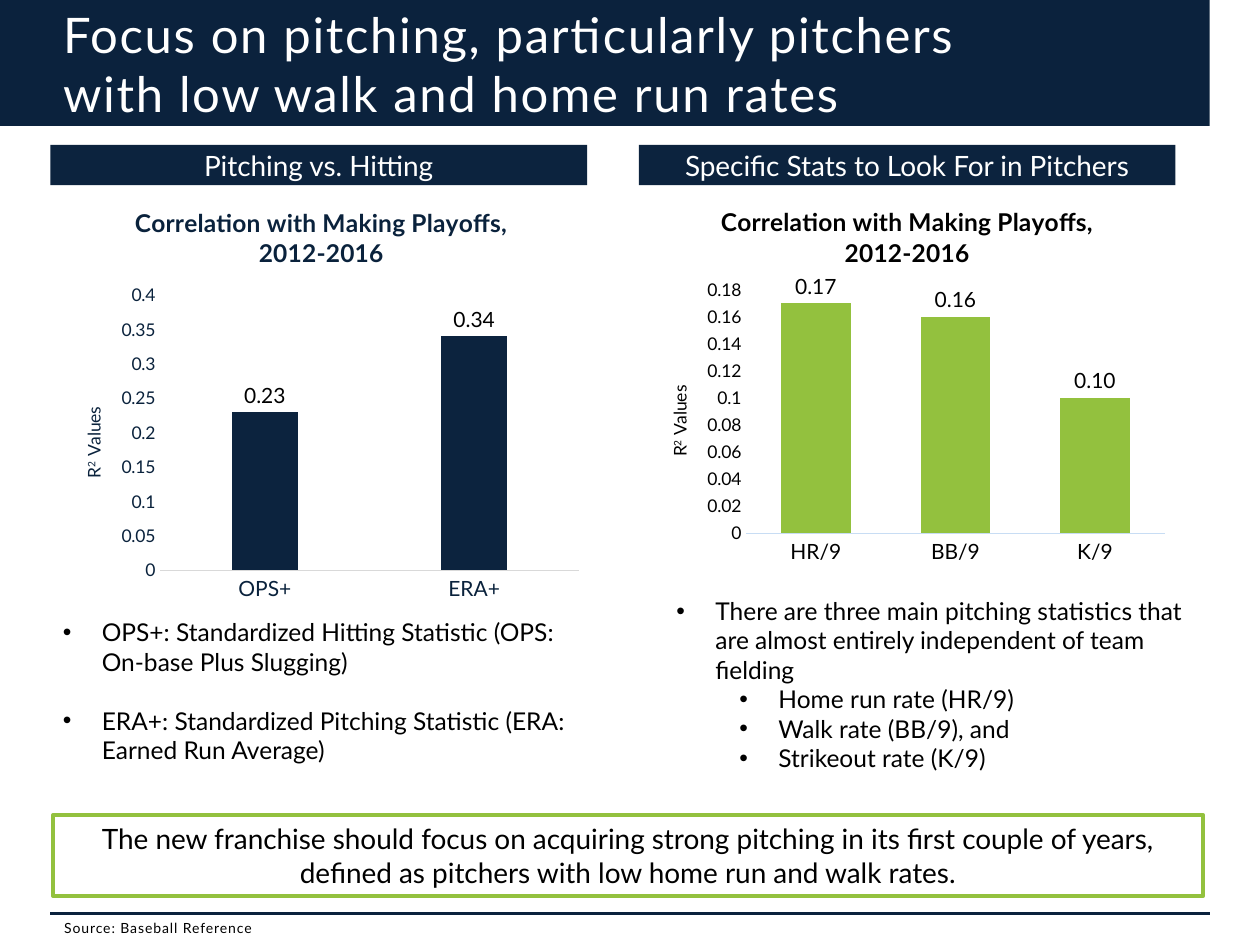
from lxml import etree
from pptx import Presentation, util as u
from pptx.chart.data import CategoryChartData
from pptx.dml.color import RGBColor
from pptx.enum import chart as charts, shapes, text
from pptx.oxml import ns

FONT = "Lato"
NAVY, HEADER, INK = "0B223D", "0C233E", "0A223C"
GREEN, WHITE, BLACK = "93C13E", "FFFFFF", "000000"
LEFT, COLUMN_WIDTH, COLUMN_STEP = 0.4, 4.26, 4.67
HEADER_TOP, HEADER_HEIGHT = 1.15, 0.32
CHART_TOP = HEADER_TOP + HEADER_HEIGHT


def color(value):
    """Turn a hex string into a colour."""
    return RGBColor.from_string(value)


def column_left(index):
    """Return the left edge of a column."""
    return LEFT + index * COLUMN_STEP


def inches(*lengths):
    """Convert several lengths to inches."""
    return [u.Inches(length) for length in lengths]


def style(font, size, ink, bold=False):
    """Set the face, size, colour and weight of a font."""
    font.name, font.size, font.bold = FONT, u.Pt(size), bold
    font.color.rgb = color(ink)


def fill_text(frame, words, size, ink, align=text.PP_ALIGN.LEFT, spacing=0):
    """Write one styled paragraph with optional letter spacing in points."""
    frame.text = words
    frame.word_wrap = True
    para = frame.paragraphs[0]
    para.alignment = align
    span = para.runs[0]
    style(span.font, size, ink)
    if spacing:
        span.font._element.set("spc", str(int(spacing * 100)))


def add_box(page, area, fill, line=None):
    """Add a plain rectangle."""
    box = page.shapes.add_shape(shapes.MSO_SHAPE.RECTANGLE, *inches(*area))
    box.shadow.inherit = False
    box.fill.solid()
    box.fill.fore_color.rgb = color(fill)
    if line:
        box.line.color.rgb = color(line)
        box.line.width = u.Pt(2.25)
    else:
        box.line.fill.background()
    return box


def add_label_box(page, area, words, fill, ink, line=None):
    """Add a rectangle with centred text."""
    box = add_box(page, area, fill, line)
    fill_text(box.text_frame, words, 16, ink, text.PP_ALIGN.CENTER)
    box.text_frame.vertical_anchor = text.MSO_ANCHOR.MIDDLE


def add_title(page, words):
    """Place the title over its navy band."""
    band = add_box(page, (0, 0, 9.6, 1), NAVY)
    title = page.shapes.title
    title._element.addprevious(band._element)
    title.left, title.top, title.width, title.height = inches(LEFT, 0.15, 8, 0.7)
    fill_text(title.text_frame, words, 28, WHITE, spacing=1)
    title.text_frame.vertical_anchor = text.MSO_ANCHOR.MIDDLE
    title.text_frame.auto_size = text.MSO_AUTO_SIZE.NONE


def add_footer(page, words):
    """Add the rule and the source note."""
    rule = page.shapes.add_connector(
        shapes.MSO_CONNECTOR.STRAIGHT, *inches(LEFT, 7.25, 10 - LEFT, 7.25))
    rule.line.color.rgb = color(NAVY)
    rule.line.width = u.Pt(2.25)
    etree.SubElement(rule._element.spPr, ns.qn("a:effectLst"))
    note = page.shapes.add_textbox(*inches(0.41, 7.25, 8.75, 0.25))
    fill_text(note.text_frame, words, 8, BLACK, spacing=0.5)


def add_bullets(page, area, items, gap=0):
    """Add bullets from (level, words) pairs."""
    frame = page.shapes.add_textbox(*inches(*area)).text_frame
    frame.word_wrap = True
    for index, (level, words) in enumerate(items):
        para = frame.add_paragraph() if index else frame.paragraphs[0]
        para.text = words
        para.level = level
        para.space_before = u.Pt(gap if index else 0)
        props = para._p.get_or_add_pPr()
        props.set("marL", str(u.Inches(0.31 + 0.5 * level)))
        props.set("indent", str(u.Inches(-0.31)))
        etree.SubElement(props, ns.qn("a:buFont"), typeface="Arial")
        etree.SubElement(props, ns.qn("a:buChar"), char="•")
        style(para.runs[0].font, 14, BLACK)


def set_plot_area(chart, **shares):
    """Fix the inner plot area as shares of the chart."""
    plot_area = chart._chartSpace.chart.plotArea
    for old in plot_area.findall(ns.qn("c:layout")):
        plot_area.remove(old)
    layout = etree.Element(ns.qn("c:layout"))
    manual = etree.SubElement(layout, ns.qn("c:manualLayout"))
    settings = dict(layoutTarget="inner", xMode="edge", yMode="edge", **shares)
    for name, value in settings.items():
        etree.SubElement(manual, ns.qn("c:" + name), val=str(value))
    plot_area.insert(0, layout)


def add_axis_title(axis, ink):
    """Title the value axis with a raised exponent."""
    para = axis.axis_title.text_frame.paragraphs[0]
    for words in ("R", "2", " Values"):
        span = para.add_run()
        span.text = words
        style(span.font, 10, ink)
        if words == "2":
            span.font._element.set("baseline", "30000")


def add_columns(page, area, values, fill, ink, axis_line, gap, overlap, top, step, plot_y, plot_h):
    """Add a column chart of correlations."""
    data = CategoryChartData()
    data.categories = list(values)
    data.add_series("Series 1", list(values.values()))
    chart = page.shapes.add_chart(
        charts.XL_CHART_TYPE.COLUMN_CLUSTERED, *inches(*area), data).chart
    style(chart.font, 10, BLACK)
    chart.has_legend = False
    fill_text(chart.chart_title.text_frame, "Correlation with Making Playoffs, 2012-2016",
              14, ink, text.PP_ALIGN.CENTER)
    chart.chart_title.text_frame.paragraphs[0].runs[0].font.bold = True
    chart.chart_title.include_in_layout = False

    for axis, size in ((chart.category_axis, 12), (chart.value_axis, 10)):
        axis.has_major_gridlines = False
        axis.major_tick_mark = axis.minor_tick_mark = charts.XL_TICK_MARK.NONE
        style(axis.tick_labels.font, size, ink)
    chart.category_axis.format.line.color.rgb = color(axis_line)
    chart.category_axis.format.line.width = u.Pt(0.75)
    scale = chart.value_axis
    scale.format.line.fill.background()
    scale.minimum_scale, scale.maximum_scale, scale.major_unit = 0, top, step
    add_axis_title(scale, ink)

    plot = chart.plots[0]
    plot.vary_by_categories = False
    plot.gap_width, plot.overlap = gap, overlap
    series = plot.series[0]
    series.format.fill.solid()
    series.format.fill.fore_color.rgb = color(fill)
    labels = series.data_labels
    labels.show_value = True
    labels.position = charts.XL_LABEL_POSITION.OUTSIDE_END
    labels.number_format, labels.number_format_is_linked = "#,##0.00", False
    style(labels.font, 12, BLACK)
    set_plot_area(chart, x=0.2, y=plot_y, w=0.78, h=plot_h)


def main():
    """Build the slide."""
    deck = Presentation()
    deck.slide_width, deck.slide_height = inches(10, 7.5)
    page = deck.slides.add_slide(deck.slide_layouts[5])
    add_title(page, "Focus on pitching, particularly pitchers with low walk and home run rates")
    add_footer(page, "Source: Baseball Reference")
    headers = ("Pitching vs. Hitting", "Specific Stats to Look For in Pitchers")
    for index, words in enumerate(headers):
        area = (column_left(index), HEADER_TOP, COLUMN_WIDTH, HEADER_HEIGHT)
        add_label_box(page, area, words, HEADER, WHITE)

    add_columns(page, (0.42, CHART_TOP, COLUMN_WIDTH, 3.36), {"OPS+": 0.23, "ERA+": 0.34},
                HEADER, INK, "D9D9D9", gap=219, overlap=-27,
                top=0.4, step=0.05, plot_y=0.26, plot_h=0.65)
    add_columns(page, (column_left(1), CHART_TOP, COLUMN_WIDTH, 3.07),
                {"HR/9": 0.17, "BB/9": 0.16, "K/9": 0.1},
                GREEN, BLACK, "C8DDF4", gap=100, overlap=-24,
                top=0.18, step=0.02, plot_y=0.27, plot_h=0.63)

    add_bullets(page, (LEFT, 4.85, COLUMN_WIDTH, 1.4), [
        (0, "OPS+: Standardized Hitting Statistic (OPS: On-base Plus Slugging)"),
        (0, "ERA+: Standardized Pitching Statistic (ERA: Earned Run Average)"),
    ], gap=16.8)
    add_bullets(page, (5.27, 4.68, COLUMN_WIDTH, 1.82), [
        (0, "There are three main pitching statistics that are almost entirely "
            "independent of team fielding"),
        (1, "Home run rate (HR/9)"),
        (1, "Walk rate (BB/9), and"),
        (1, "Strikeout rate (K/9)"),
    ])
    add_label_box(page, (0.42, 6.47, 9.13, 0.64),
                  "The new franchise should focus on acquiring strong pitching in its first "
                  "couple of years, defined as pitchers with low home run and walk rates.",
                  WHITE, BLACK, GREEN)
    deck.save("out.pptx")


if __name__ == "__main__":
    main()
